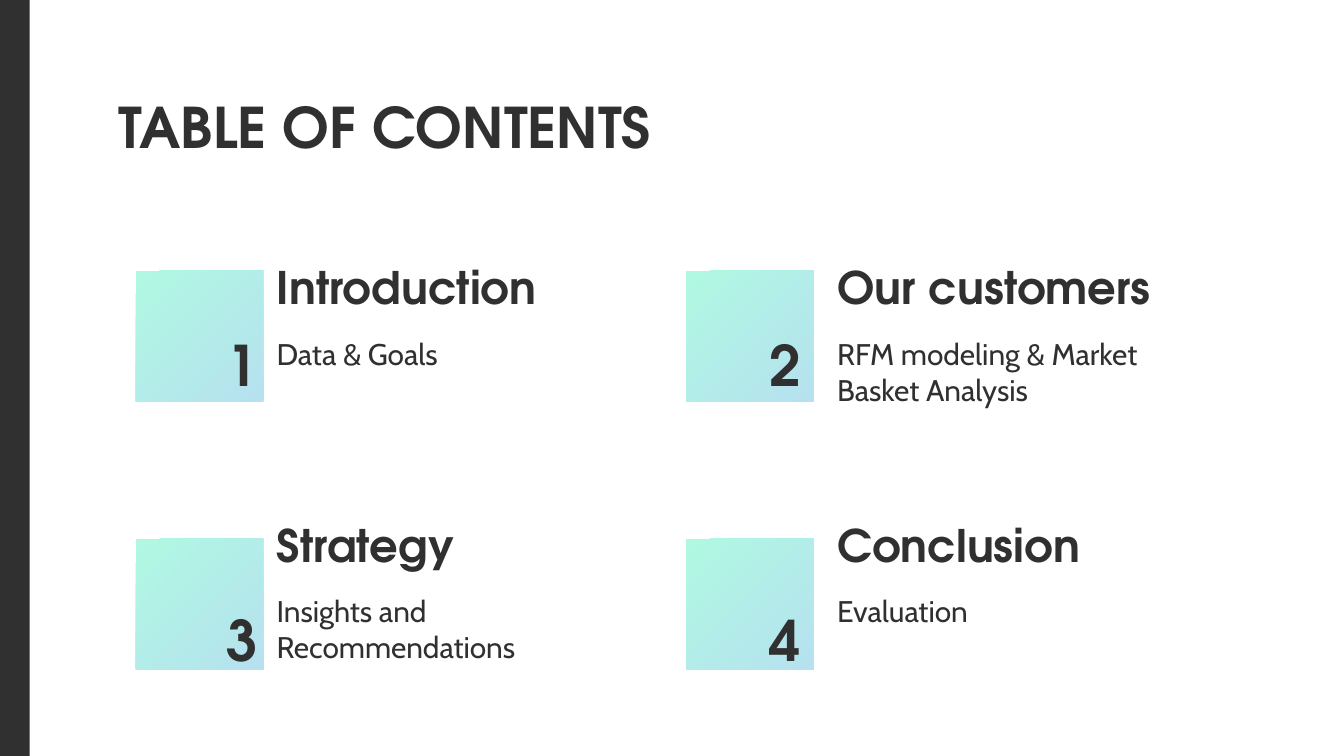
from pptx import Presentation
from pptx.dml.color import RGBColor
from pptx.enum.shapes import MSO_SHAPE as Shape
from pptx.enum.text import MSO_ANCHOR as Anchor, PP_ALIGN as Align
from pptx.util import Pt

PX = 4572  # 200 px to the inch
WIDTH, HEIGHT = 2000, 1125
DARK, MINT, SKY = "303030", "B0F8E2", "B6E2EF"
HEADING_FONT, BODY_FONT = "TeX Gyre Adventor", "Cabin"

presentation = Presentation()
presentation.slide_width, presentation.slide_height = WIDTH * PX, HEIGHT * PX
slide = presentation.slides.add_slide(presentation.slide_layouts[6])


def add_rectangle(left, top, width, height, *colors):
    shape = slide.shapes.add_shape(
        Shape.RECTANGLE, left * PX, top * PX, width * PX, height * PX)
    shape.shadow.inherit = False
    shape.line.fill.background()
    if len(colors) == 1:
        shape.fill.solid()
        shape.fill.fore_color.rgb = RGBColor.from_string(colors[0])
    else:
        shape.fill.gradient()
        shape.fill.gradient_angle = 315
        for stop, color in zip(shape.fill.gradient_stops, colors):
            stop.color.rgb = RGBColor.from_string(color)


def add_text(left, top, width, height, text, size, font=HEADING_FONT,
             align=Align.LEFT, anchor=Anchor.TOP):
    box = slide.shapes.add_textbox(left * PX, top * PX, width * PX, height * PX)
    frame = box.text_frame
    frame.word_wrap = True
    frame.vertical_anchor = anchor
    frame.margin_left = frame.margin_right = 20 * PX
    frame.margin_top = frame.margin_bottom = 20 * PX
    paragraph = frame.paragraphs[0]
    paragraph.alignment = align
    run = paragraph.add_run()
    run.text = text
    run.font.name = font
    run.font.size = Pt(size)
    run.font.bold = font == HEADING_FONT
    run.font.color.rgb = RGBColor.from_string(DARK)


# Side bar and title
add_rectangle(0, 0, 44, HEIGHT, DARK)
add_text(156, 118, 1362, 166, "TABLE OF CONTENTS", 30)

# Sections in a two by two grid
columns = [(202, 213, 392), (1021, 1021, 1226)]  # square, number, text
rows = [(403, 462, 367, 480), (802, 871, 751, 862)]  # square, number, heading, detail
sections = [
    ("Introduction", "Data & Goals", 510),
    ("Our customers", "RFM modeling & Market Basket Analysis", 592),
    ("Strategy", "Insights and Recommendations", 510),
    ("Conclusion", "Evaluation", 510),
]
for index, (heading, detail, heading_width) in enumerate(sections):
    row, column = divmod(index, 2)
    square_left, number_left, text_left = columns[column]
    square_top, number_top, heading_top, detail_top = rows[row]
    add_rectangle(square_left, square_top, 190, 194, MINT, SKY)
    add_text(number_left, number_top, 190, 150, str(index + 1), 30,
             align=Align.RIGHT, anchor=Anchor.BOTTOM)
    add_text(text_left, heading_top, heading_width, 166, heading, 24)
    add_text(text_left, detail_top, 510, 166, detail, 16, BODY_FONT)

presentation.save("out.pptx")
